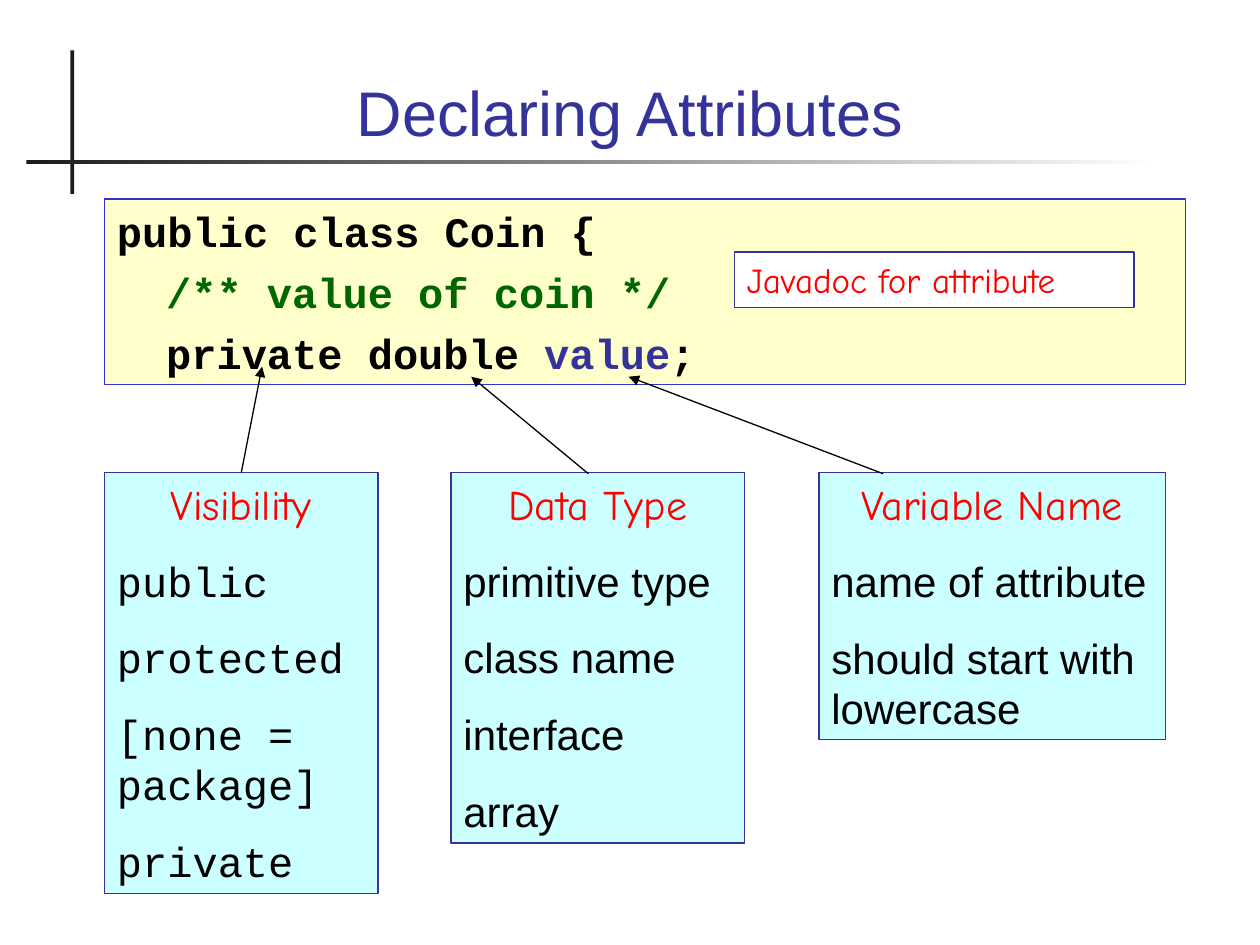
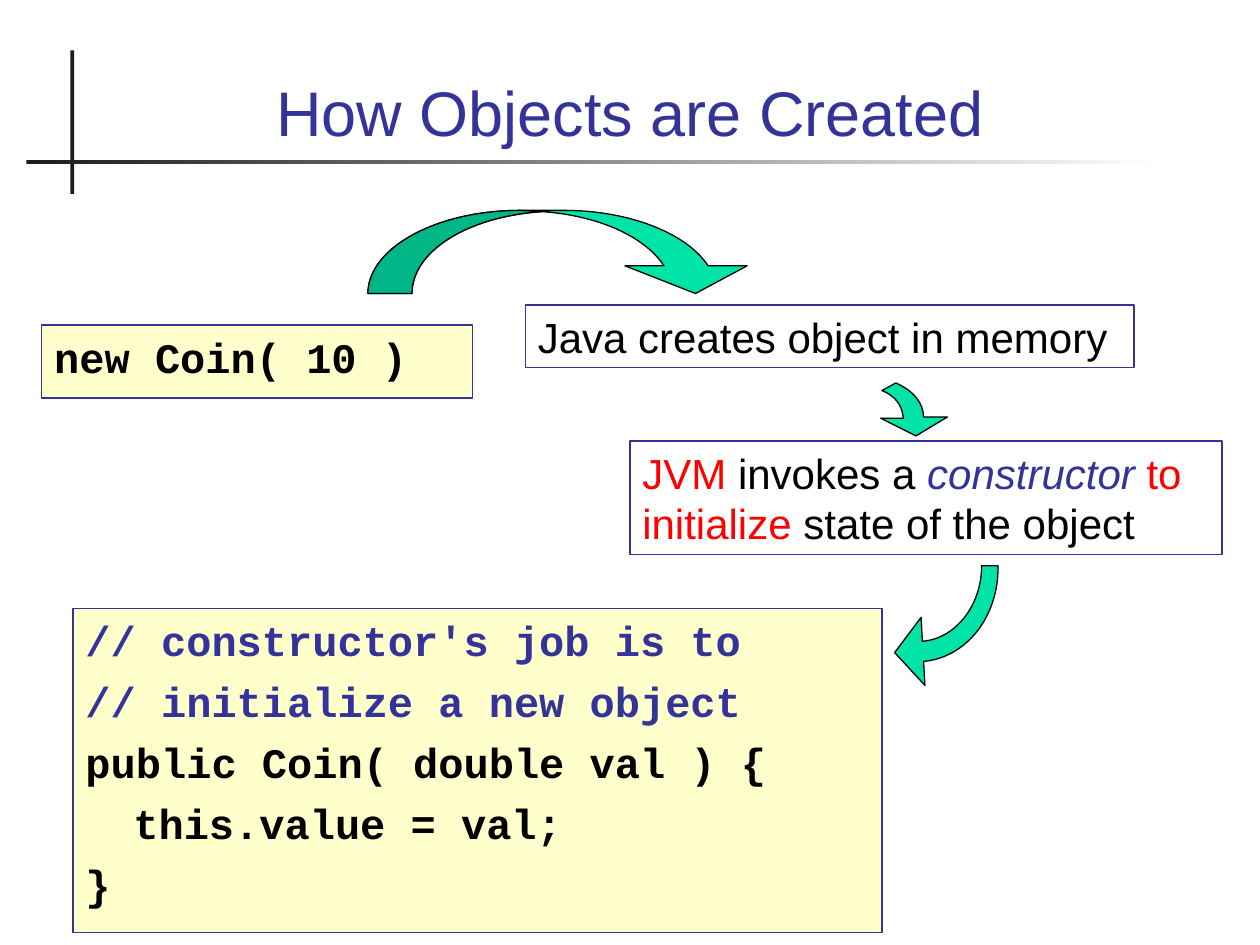
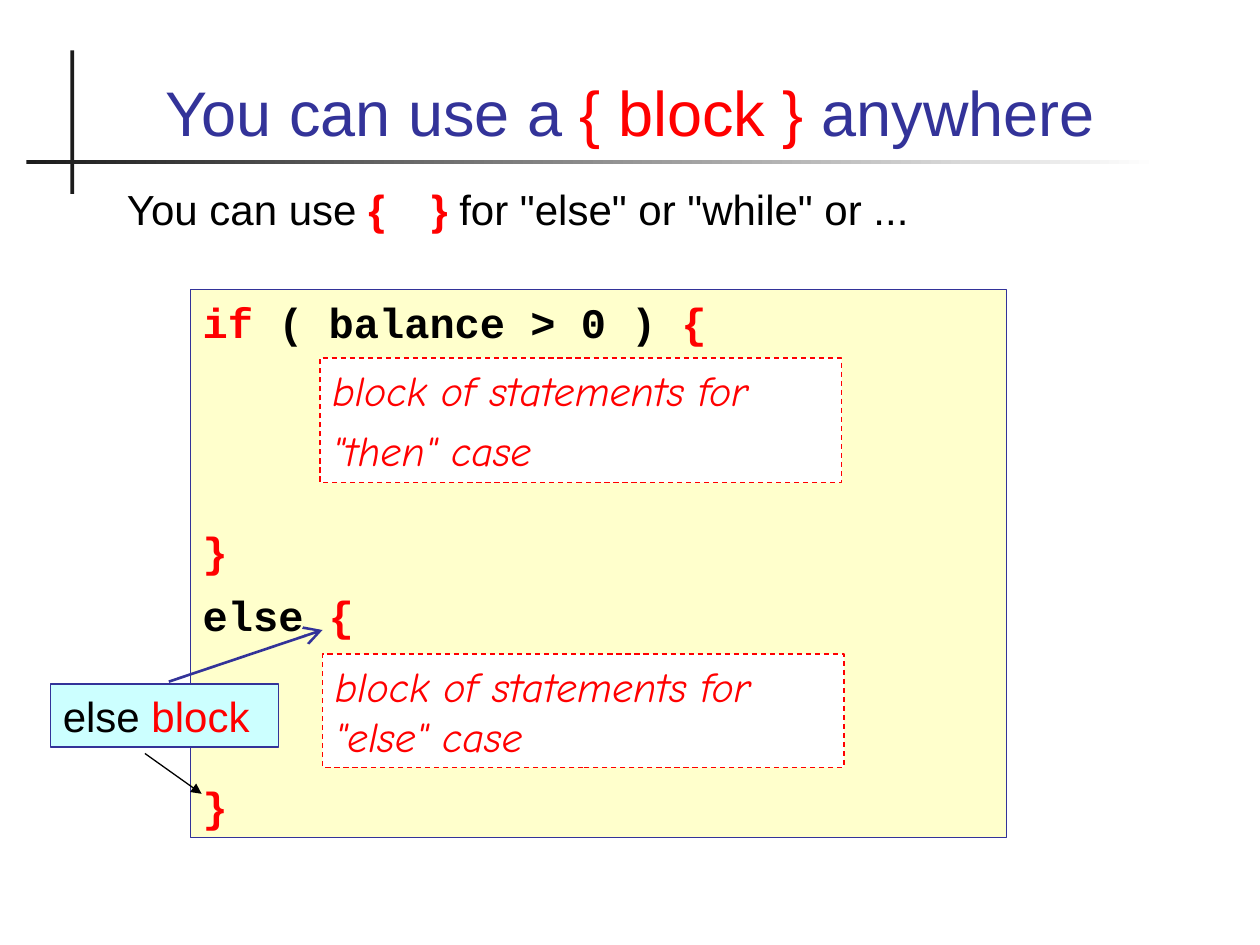
from lxml import etree
from pptx import Presentation
from pptx import util as u
from pptx.dml.color import RGBColor
from pptx.enum import dml, shapes, text
from pptx.oxml.ns import qn

PX = 9144
NAVY = RGBColor(0x33, 0x33, 0x99)
BLUE = RGBColor(0x33, 0x33, 0xCC)
INK = RGBColor(0x1C, 0x1C, 0x1C)
BLACK = RGBColor(0x00, 0x00, 0x00)
WHITE = RGBColor(0xFF, 0xFF, 0xFF)
RED = RGBColor(0xFF, 0x00, 0x00)
GREEN = RGBColor(0x00, 0x66, 0x00)
CREAM = RGBColor(0xFF, 0xFF, 0xCC)
CYAN = RGBColor(0xCC, 0xFF, 0xFF)
MINT = RGBColor(0x00, 0xE4, 0xA8)
ARIAL, COMIC, COURIER = "Arial", "Comic Neue", "Courier New"
CODE = dict(font=COURIER, bold=True)
NOTE = dict(font=COMIC, color=RED)


def write(sp, lines, size=24, font=ARIAL, color=BLACK, bold=False, italic=False,
          align=text.PP_ALIGN.LEFT, anchor=text.MSO_ANCHOR.TOP, gap=0, leading=1.2, indents={}):
    tf = sp.text_frame
    tf.word_wrap = True
    tf.auto_size = text.MSO_AUTO_SIZE.NONE
    tf.vertical_anchor = anchor
    for i, line in enumerate(lines):
        p = tf.paragraphs[0] if i == 0 else tf.add_paragraph()
        pPr = p._p.get_or_add_pPr()
        pPr.set("marL", str(indents.get(i, 0) * PX))
        pPr.set("indent", "0")
        etree.SubElement(pPr, qn("a:buNone"))
        p.alignment = align
        p.space_before = u.Pt(gap if i else 0)
        if leading:
            p.line_spacing = u.Pt(size * leading)
        for part, style in [(line, {})] if isinstance(line, str) else line:
            r = p.add_run()
            r.text = part
            r.font.size = u.Pt(size)
            r.font.name = style.get("font", font)
            r.font.bold = style.get("bold", bold)
            r.font.italic = style.get("italic", italic)
            r.font.color.rgb = style.get("color", color)


def box(s, x, y, w, h, fill=WHITE, line=NAVY):
    sp = s.shapes.add_shape(shapes.MSO_SHAPE.RECTANGLE, x * PX, y * PX, w * PX, h * PX)
    sp.shadow.inherit = False
    sp.fill.solid()
    sp.fill.fore_color.rgb = fill
    if line is None:
        sp.line.fill.background()
    else:
        sp.line.color.rgb = line
        sp.line.width = u.Pt(0.75)
    return sp


prs = Presentation()
prs.slide_width, prs.slide_height = 1000 * PX, 750 * PX

red = dict(color=RED)
navy = dict(color=NAVY)
titles = [
    (5, "Declaring Attributes"),
    (1, "How Objects are Created"),
    (5, [("You can use a ", {}), ("{ block }", red), (" anywhere", {})]),
]
for layout, title in titles:
    s = prs.slides.add_slide(prs.slide_layouts[layout])
    sp = s.shapes.title
    sp.left, sp.top, sp.width, sp.height = 67 * PX, 28 * PX, 866 * PX, 95 * PX
    write(sp, [title], size=36, color=NAVY, align=text.PP_ALIGN.CENTER,
          anchor=text.MSO_ANCHOR.BOTTOM, leading=None)
attributes, creation, blocks = prs.slides

upright = box(attributes, 56, 40, 3, 114, INK, None)
rule = box(attributes, 21, 127, 899, 3, INK, None)
rule.fill.gradient()
rule.fill.gradient_angle = 0
for stop, color in zip(rule.fill.gradient_stops, (INK, WHITE)):
    stop.color.rgb = color
for i, sp in enumerate((upright, rule)):
    sp.element.nvSpPr.cNvPr.set("id", str(101 + i))
    prs.slide_master.shapes.element.append(sp.element)

code = box(attributes, 83, 158, 858, 147, CREAM, BLUE)
write(code, [
    "public class Coin {",
    [("/** value of coin */", dict(color=GREEN))],
    [("private double ", {}), ("value", navy), (";", {})],
], gap=6, indents={1: 39, 2: 39}, **CODE)

columns = [
    (83, 217, 334, COURIER, "Visibility", ["public", "protected", "[none = package]", "private"]),
    (358, 233, 294, ARIAL, "Data Type", ["primitive type", "class name", "interface", "array"]),
    (650, 275, 212, ARIAL, "Variable Name", ["name of attribute", "should start with lowercase"]),
]
column_boxes = []
for x, w, h, font, heading, items in columns:
    sp = box(attributes, x, 375, w, h, CYAN)
    write(sp, [[(heading, NOTE)]] + items, font=font, gap=15)
    sp.text_frame.paragraphs[0].alignment = text.PP_ALIGN.CENTER
    column_boxes.append(sp)

write(box(attributes, 583, 200, 317, 44), ["Javadoc for attribute"], size=20, **NOTE)

call = creation.placeholders[1]
call.left, call.top, call.width, call.height = 33 * PX, 258 * PX, 342 * PX, 58 * PX
call.fill.solid()
call.fill.fore_color.rgb = CREAM
call.line.color.rgb = NAVY
call.line.width = u.Pt(0.75)
write(call, ["new Coin( 10 )"], **CODE)

write(box(creation, 417, 242, 483, 50), ["Java creates object in memory"])
write(box(creation, 58, 483, 642, 257, CREAM), [
    [("// constructor's job is to", navy)],
    [("// initialize a new object", navy)],
    "public Coin( double val ) {",
    "this.value = val;",
    "}",
], gap=6, indents={3: 38}, **CODE)
write(box(creation, 500, 350, 470, 90), [[
    ("JVM ", red), ("invokes a ", {}), ("constructor", dict(color=NAVY, italic=True)),
    (" to initialize", red), (" state of the object", {}),
]])

tail_start = [(292, 233), (292, 197, 346, 167, 413, 167)]
tail_end = [(430, 168), (370, 172, 327, 200, 327, 233)]
over_arrow = tail_start + [
    (448, 167), (499, 167, 545, 185, 562, 211), (593, 211), (552, 233), (496, 211),
    (527, 211), (512, 188, 475, 171, 430, 168), tail_end[1]]
down_arrow = [
    (717, 332), (716, 321, 710, 314, 700, 310), (711, 304), (725, 310, 733, 320, 733, 331),
    (752, 331), (727, 346), (699, 332)]
back_arrow = [
    (732, 509), (758, 507, 779, 481, 779, 449), (792, 449), (793, 489, 767, 522, 733, 525),
    (734, 544), (710, 518), (731, 490)]
curved_arrows = [
    (292, 167, 308, 67, 0, [("norm", over_arrow), ("darkenLess", tail_start + tail_end)]),
    (583, 292, 150, 83, 0, [("norm", down_arrow)]),
    (655, 387, 150, 125, 90, [("norm", back_arrow)]),
]
for x, y, w, h, turn, outlines in curved_arrows:
    builder = creation.shapes.build_freeform(x, y, scale=PX)
    builder.add_line_segments([(x + w, y), (x + w, y + h)])
    sp = builder.convert_to_shape()
    sp.rotation = turn
    sp.shadow.inherit = False
    sp.fill.solid()
    sp.fill.fore_color.rgb = MINT
    sp.line.color.rgb = BLACK
    sp.line.width = u.Pt(0.75)
    cx, cy = x + w / 2, y + h / 2
    pathLst = sp.element.spPr.find(".//" + qn("a:pathLst"))
    pathLst.clear()
    for shade, steps in outlines:
        outline = etree.SubElement(pathLst, qn("a:path"), w=str(w * PX), h=str(h * PX), fill=shade)
        for i, step in enumerate(steps):
            tag = "a:moveTo" if i == 0 else "a:lnTo" if len(step) == 2 else "a:cubicBezTo"
            segment = etree.SubElement(outline, qn(tag))
            for px, py in zip(step[::2], step[1::2]):
                if turn:
                    px, py = cx + py - cy, cy + cx - px
                etree.SubElement(segment, qn("a:pt"), x=str(int((px - x) * PX)),
                                 y=str(int((py - y) * PX)))
        etree.SubElement(outline, qn("a:close"))

code = box(blocks, 151, 230, 648, 435, CREAM)
write(code, [
    [("if", red), (" ( balance > 0 ) ", {}), ("{", red)],
    [("}", red)],
    [("else ", {}), ("{", red)],
    [("}", red)],
], gap=7.5, **CODE)
for i, space in ((1, 102.6), (3, 80.1)):
    code.text_frame.paragraphs[i].space_before = u.Pt(space)

intro = blocks.shapes.add_textbox(91 * PX, 141 * PX, 836 * PX, 50 * PX)
write(intro, [[("You can use ", {}), ("{    }", dict(color=RED, bold=True)),
               (' for "else" or "while" or ...', {})]])
write(box(blocks, 40, 543, 181, 50, CYAN), [[("else ", {}), ("block", red)]])

cases = [
    (254, 284, 99, ["block of statements for", '"then" case']),
    (256, 519, 90, ['block of statements for "else" case']),
]
for x, y, h, lines in cases:
    sp = box(blocks, x, y, 414, h, WHITE, RED)
    sp.line.dash_style = dml.MSO_LINE.DASH
    write(sp, lines, italic=True, gap=6, **NOTE)

pointers = [
    (attributes, 701, 376, 499, 299, BLACK, 0.75, "triangle", "med", None),
    (attributes, 467, 376, 374, 299, BLACK, 0.75, "triangle", "med", None),
    (attributes, 192, 375, 208, 291, BLACK, 0.75, "triangle", "med", column_boxes[0]),
    (blocks, 134, 541, 256, 500, NAVY, 1.5, "arrow", "lg", None),
    (blocks, 115, 598, 160, 630, BLACK, 0.75, "triangle", "med", None),
]
for s, x1, y1, x2, y2, color, width, head, size, source in pointers:
    line = s.shapes.add_connector(shapes.MSO_CONNECTOR.STRAIGHT, x1 * PX, y1 * PX, x2 * PX, y2 * PX)
    if source is not None:
        line.begin_connect(source, 0)
    line.line.color.rgb = color
    line.line.width = u.Pt(width)
    ln = line.element.spPr.find(qn("a:ln"))
    etree.SubElement(ln, qn("a:tailEnd"), type=head, w=size, len=size)
    etree.SubElement(line.element.spPr, qn("a:effectLst"))

prs.save("out.pptx")
